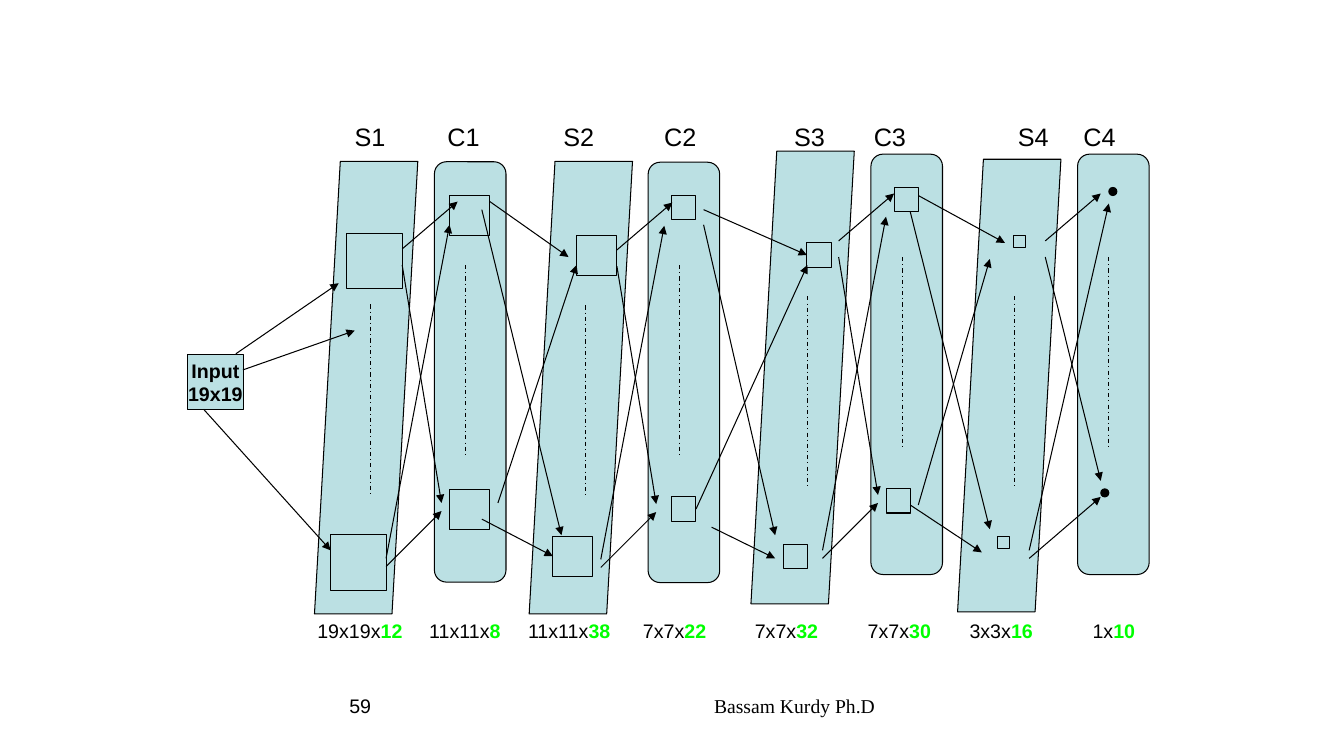
from dataclasses import dataclass
from typing import NamedTuple

from lxml.etree import SubElement
from pptx import Presentation
from pptx.dml.color import RGBColor
from pptx.enum.dml import MSO_LINE
from pptx.enum.shapes import MSO_CONNECTOR, MSO_SHAPE
from pptx.enum.text import MSO_ANCHOR, PP_ALIGN
from pptx.oxml.ns import qn
from pptx.util import Inches, Pt

CELL = Inches(0.1)
COLUMNS, ROWS = 133.33, 75
NAME_ROW, SIZE_ROW = 11.5, 60.9


@dataclass(frozen=True)
class Theme:
    panel: RGBColor = RGBColor(0xBB, 0xE0, 0xE3)
    ink: RGBColor = RGBColor(0, 0, 0)
    accent: RGBColor = RGBColor(0, 0xFF, 0)
    sans: str = "Arial"
    serif: str = "Times New Roman"
    heading: int = 18
    label: int = 14
    line: float = 0.75


THEME = Theme()


class Point(NamedTuple):
    column: float
    row: float


class Run(NamedTuple):
    text: str
    color: RGBColor = THEME.ink
    bold: bool = False


class Arrow(NamedTuple):
    start: Point
    end: Point


@dataclass(frozen=True)
class Layer:
    name: str
    grid: str
    maps: str
    panel: Point
    units: tuple[Point, Point]
    unit_size: float
    dash_row: float
    name_column: float
    size_column: float

    @property
    def simple(self) -> bool:
        return self.name.startswith("S")

    @property
    def dash(self) -> Point:
        return Point(self.panel.column + (5.6 if self.simple else 3.1), self.dash_row)


LAYERS = [
    Layer("S1", "19x19x", "12", Point(31.2, 16), (Point(34.4, 23.15), Point(32.8, 53.05)), 5.5, 30.2, 35.2, 31.5),
    Layer("C1", "11x11x", "8", Point(43.1, 16.05), (Point(44.6, 19.4), Point(44.6, 48.55)), 3.95, 26.3, 44.4, 42.6),
    Layer("S2", "11x11x", "38", Point(52.5, 16), (Point(57.2, 23.35), Point(54.85, 53.2)), 3.95, 30.3, 55.9, 52.4),
    Layer("C2", "7x7x", "22", Point(64.3, 16.1), (Point(66.65, 19.4), Point(66.65, 49.3)), 2.4, 26.3, 65.9, 63.8),
    Layer("S3", "7x7x", "32", Point(74.5, 15), (Point(80.05, 24.1), Point(77.7, 54)), 2.4, 29.4, 78.8, 74.9),
    Layer("C3", "7x7x", "30", Point(86.4, 15.3), (Point(88.7, 18.6), Point(87.9, 48.5)), 2.4, 25.5, 86.7, 86.1),
    Layer("S4", "3x3x", "16", Point(95, 15.8), (Point(100.5, 23.35), Point(98.95, 53.2)), 1.2, 29.4, 101, 96.2),
    Layer("C4", "1x", "10", Point(106.9, 15.3), (Point(110, 18.6), Point(109.2, 48.5)), 0.8, 25.5, 107.5, 108.4),
]

FORWARD_STARTS = [Point(8.7, -5.5), Point(8.7, -3.9), Point(7.1, 25.2), Point(7.1, 26)]
FORWARD_ENDS = [Point(14.2, -10.2), Point(12.6, 19.7), Point(13.4, -7.9), Point(12.6, 20.5)]
OUTPUT_ENDS = [Point(14.2, -10.2), Point(14.2, 18.3), Point(15, -9.2), Point(14.2, 19.9)]

ARROWS = [
    Arrow(Point(23.4, 35.1), Point(33.6, 28.1)),
    Arrow(Point(20.2, 40.6), Point(32.8, 54.6)),
    Arrow(Point(24.1, 36.7), Point(35.2, 32.8)),
    Arrow(Point(49.4, 49.9), Point(57.2, 26.3)),
    Arrow(Point(48.6, 20), Point(56.4, 25.5)),
    Arrow(Point(47.8, 51.5), Point(54.9, 55.4)),
    Arrow(Point(47.8, 20.8), Point(55.7, 53.1)),
    Arrow(Point(69.8, 20.8), Point(80.1, 25.5)),
    Arrow(Point(69, 50.7), Point(80.1, 26.3)),
    Arrow(Point(69.8, 22.3), Point(76.9, 53.1)),
    Arrow(Point(70.6, 52.3), Point(76.9, 55.4)),
    Arrow(Point(91.1, 19.4), Point(99.7, 24.1)),
    Arrow(Point(91.1, 50.1), Point(98.2, 25.7)),
    Arrow(Point(90.3, 21), Point(98.2, 52.5)),
    Arrow(Point(90.3, 50.1), Point(97.4, 54.8)),
]


def cells(*counts: float) -> list[int]:
    return [round(count * CELL) for count in counts]


def write(shape, paragraphs: list[list[Run]], *, size: int = THEME.label, font: str = THEME.sans,
          align=PP_ALIGN.LEFT, anchor=MSO_ANCHOR.TOP, wrap: bool = True) -> None:
    frame = shape.text_frame
    frame.word_wrap = wrap
    frame.vertical_anchor = anchor
    for index, runs in enumerate(paragraphs):
        paragraph = frame.paragraphs[0] if index == 0 else frame.add_paragraph()
        paragraph.alignment = align
        for item in runs:
            run = paragraph.add_run()
            run.text = item.text
            run.font.size = Pt(size)
            run.font.name = font
            run.font.bold = item.bold
            run.font.color.rgb = item.color


def add_box(slide, kind, corner: Point, width: float, height: float, fill: RGBColor = THEME.panel):
    shape = slide.shapes.add_shape(kind, *cells(*corner, width, height))
    shape.shadow.inherit = False
    shape.fill.solid()
    shape.fill.fore_color.rgb = fill
    shape.line.color.rgb = THEME.ink
    shape.line.width = Pt(THEME.line)
    return shape


def add_text(slide, corner: Point, width: float, height: float, paragraphs: list[list[Run]], **style) -> None:
    write(slide.shapes.add_textbox(*cells(*corner, width, height)), paragraphs, **style)


def add_line(slide, start: Point, end: Point):
    connector = slide.shapes.add_connector(MSO_CONNECTOR.STRAIGHT, *cells(*start, *end))
    connector.line.color.rgb = THEME.ink
    connector.line.width = Pt(THEME.line)
    SubElement(connector._element.spPr, qn("a:effectLst"))
    return connector


def find_side(squares: list, point: Point):
    column, row = cells(*point)
    reach = 0.3 * CELL
    for square in squares:
        middle, center = square.left + square.width / 2, square.top + square.height / 2
        sides = [(middle, square.top), (square.left, center),
                 (middle, square.top + square.height), (square.left + square.width, center)]
        for site, (x, y) in enumerate(sides):
            if abs(x - column) <= reach and abs(y - row) <= reach:
                return square, site
    return None


def add_arrow(slide, arrow: Arrow, squares: list) -> None:
    connector = add_line(slide, arrow.start, arrow.end)
    SubElement(connector.line._get_or_add_ln(), qn("a:tailEnd"), type="triangle")
    for point, connect in ((arrow.start, connector.begin_connect), (arrow.end, connector.end_connect)):
        side = find_side(squares, point)
        if side:
            connect(*side)


def add_layer(slide, layer: Layer) -> list:
    if layer.simple:
        add_box(slide, MSO_SHAPE.PARALLELOGRAM, layer.panel, 10.25, 44.9)
    else:
        add_box(slide, MSO_SHAPE.ROUNDED_RECTANGLE, layer.panel, 7.1, 41.7)
    output = layer is LAYERS[-1]
    kind = MSO_SHAPE.FLOWCHART_CONNECTOR if output else MSO_SHAPE.RECTANGLE
    fill = THEME.ink if output else THEME.panel
    units = [add_box(slide, kind, corner, layer.unit_size, layer.unit_size, fill) for corner in layer.units]
    dash = add_line(slide, layer.dash, Point(layer.dash.column, layer.dash.row + 18.9))
    dash.line.dash_style = MSO_LINE.DASH_DOT
    return [] if output else units


def add_labels(slide, layer: Layer) -> None:
    add_text(slide, Point(layer.name_column - 1, NAME_ROW), 5.2, 4, [[Run(layer.name)]],
             size=THEME.heading, wrap=False)
    add_text(slide, Point(layer.size_column - 1, SIZE_ROW), 10.6, 3.3,
             [[Run(layer.grid), Run(layer.maps, THEME.accent, True)]], wrap=False)


def forward_arrows(layer: Layer) -> list[Arrow]:
    ends = OUTPUT_ENDS if layer.name == "S4" else FORWARD_ENDS
    left, top = layer.panel.column, layer.dash_row
    return [Arrow(Point(left + start.column, top + start.row), Point(left + end.column, top + end.row))
            for start, end in zip(FORWARD_STARTS, ends)]


def main() -> None:
    presentation = Presentation()
    presentation.slide_width, presentation.slide_height = cells(COLUMNS, ROWS)
    slide = presentation.slides.add_slide(presentation.slide_layouts[6])
    add_text(slide, Point(45.6, 68.3), 42.2, 5.2, [[Run("Bassam Kurdy Ph.D")]],
             font=THEME.serif, align=PP_ALIGN.RIGHT)
    add_text(slide, Point(6.7, 68.3), 31.1, 5.2, [[Run("59")]], align=PP_ALIGN.RIGHT)
    source = add_box(slide, MSO_SHAPE.RECTANGLE, Point(18.6, 35.15), 5.55, 5.5)
    write(source, [[Run("Input", bold=True)], [Run("19x19", bold=True)]],
          align=PP_ALIGN.CENTER, anchor=MSO_ANCHOR.MIDDLE, wrap=False)
    squares = [source]
    for layer in LAYERS:
        squares += add_layer(slide, layer)
        add_labels(slide, layer)
    for arrow in ARROWS + [arrow for layer in LAYERS if layer.simple for arrow in forward_arrows(layer)]:
        add_arrow(slide, arrow, squares)
    presentation.save("out.pptx")


if __name__ == "__main__":
    main()
